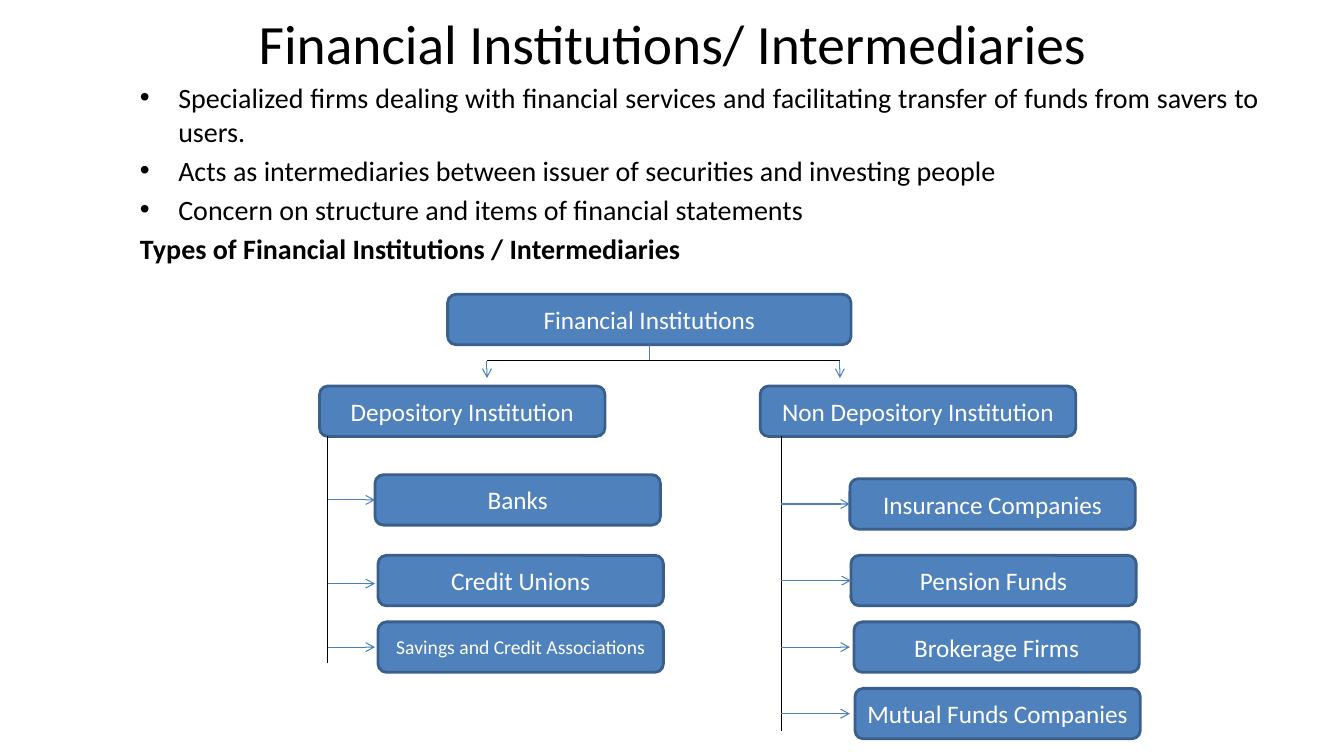
from dataclasses import dataclass

from lxml.etree import SubElement
from pptx import Presentation
from pptx.dml.color import RGBColor as Rgb
from pptx.enum.shapes import MSO_CONNECTOR as Link, MSO_SHAPE as Shape
from pptx.enum.text import MSO_ANCHOR as Anchor, MSO_AUTO_SIZE as Fit, PP_ALIGN as Align
from pptx.oxml.ns import qn
from pptx.util import Inches, Pt


@dataclass(frozen=True)
class Theme:
    """Colours, font and type sizes."""
    font: str = "Calibri"
    ink: str = "000000"
    fill: str = "4F81BD"
    edge: str = "3A5F8C"
    arrow: str = "4B7EBC"
    light: str = "FFFFFF"
    head: float = 39.6
    body: float = 20
    label: float = 18
    small: float = 14


THEME = Theme()
HIGH = 0.5
WIDE = 2.83
TOUCH = 0.02
LONG = 30
FACTS = [
    "Specialized firms dealing with financial services and facilitating transfer of funds from savers to users.",
    "Acts as intermediaries between issuer of securities and investing people",
    "Concern on structure and items of financial statements",
]
TYPES = "Types of Financial Institutions / Intermediaries"
BANKS = [
    ("Banks", 3.72, 4.71, 4.96),
    ("Credit Unions", 3.75, 5.51, 5.79),
    ("Savings and Credit Associations", 3.75, 6.17, 6.42),
]
FUNDS = [
    ("Insurance Companies", 8.43, 4.75, 5),
    ("Pension Funds", 8.44, 5.51, 5.75),
    ("Brokerage Firms", 8.47, 6.17, 6.42),
    ("Mutual Funds Companies", 8.48, 6.83, 7.08),
]


def style(para, size, color, align, bold=False):
    """Set the font and alignment of a paragraph."""
    para.alignment = align
    font = para.font
    font.name, font.size, font.bold = THEME.font, Pt(size), bold
    font.color.rgb = Rgb.from_string(color)


def add_title(slide, text):
    """Fill and place the title."""
    title = slide.shapes.title
    title.left, title.top = Inches(2.17), Inches(0.08)
    title.width, title.height = Inches(9), Inches(0.67)
    frame = title.text_frame
    frame.text = text
    frame.auto_size = Fit.NONE
    frame.vertical_anchor = Anchor.MIDDLE
    style(frame.paragraphs[0], THEME.head, THEME.ink, Align.CENTER)


def add_bullet(para):
    """Give a paragraph a bullet with a hanging indent."""
    props = para._p.get_or_add_pPr()
    props.set("marL", str(Inches(0.38)))
    props.set("indent", str(-Inches(0.38)))
    SubElement(props, qn("a:buFont"), typeface="Arial")
    SubElement(props, qn("a:buChar"), char="•")


def add_body(slide):
    """Add the bulleted facts and the heading of the chart."""
    box = slide.shapes.add_textbox(Inches(1.29), Inches(0.75), Inches(11.3), Inches(2.1))
    frame = box.text_frame
    frame.word_wrap = True
    for i, text in enumerate(FACTS + [TYPES]):
        para = frame.add_paragraph() if i else frame.paragraphs[0]
        para.text = text
        para.space_before = Pt(THEME.body * 0.2)
        style(para, THEME.body, THEME.ink, Align.JUSTIFY, text == TYPES)
        if text != TYPES:
            add_bullet(para)


def add_box(slide, text, left, top, width=WIDE):
    """Add a rounded box with a centred label, smaller if it is long."""
    box = slide.shapes.add_shape(
        Shape.ROUNDED_RECTANGLE, Inches(left), Inches(top), Inches(width), Inches(HIGH))
    box.shadow.inherit = False
    box.fill.solid()
    box.fill.fore_color.rgb = Rgb.from_string(THEME.fill)
    box.line.color.rgb = Rgb.from_string(THEME.edge)
    box.line.width = Pt(2)
    frame = box.text_frame
    frame.word_wrap = True
    frame.vertical_anchor = Anchor.MIDDLE
    frame.text = text
    size = THEME.small if len(text) > LONG else THEME.label
    style(frame.paragraphs[0], size, THEME.light, Align.CENTER)
    return box


def add_line(slide, start, end, color=THEME.ink, arrow=False):
    """Add a thin straight line, with an arrowhead if asked."""
    line = slide.shapes.add_connector(Link.STRAIGHT, *map(Inches, start + end))
    line.line.color.rgb = Rgb.from_string(color)
    line.line.width = Pt(0.75)
    if arrow:
        SubElement(line.line._get_or_add_ln(), qn("a:tailEnd"), type="arrow")
    SubElement(line._element.spPr, qn("a:effectLst"))
    return line


def add_branch(slide, trunk, foot, tip, items):
    """Add a trunk with an arrow and a box for each item."""
    add_line(slide, (trunk, 4.33), (trunk, foot))
    for text, left, top, level in items:
        box = add_box(slide, text, left, top)
        joined = left - tip < TOUCH
        level = top + HIGH / 2 if joined else level
        line = add_line(slide, (trunk, level), (tip, level), THEME.arrow, True)
        if joined:
            line.end_connect(box, 1)


def add_tree(slide):
    """Add the chart of institutions."""
    root = add_box(slide, "Financial Institutions", 4.44, 2.92, 4)
    add_box(slide, "Depository Institution", 3.17, 3.83)
    add_box(slide, "Non Depository Institution", 7.54, 3.83, 3.13)
    stem = add_line(slide, (6.44, 3.42), (6.44, 3.58), THEME.arrow)
    stem.begin_connect(root, 2)
    add_line(slide, (4.83, 3.58), (8.33, 3.58))
    for x in (4.83, 8.33):
        add_line(slide, (x, 3.58), (x, 3.75), THEME.arrow, True)
    add_branch(slide, 3.25, 6.58, 3.72, BANKS)
    add_branch(slide, 7.75, 7.25, 8.43, FUNDS)


def main():
    """Build and save the slide."""
    deck = Presentation()
    deck.slide_width, deck.slide_height = Inches(13.33), Inches(7.5)
    slide = deck.slides.add_slide(deck.slide_layouts.get_by_name("Title Only"))
    add_title(slide, "Financial Institutions/ Intermediaries")
    add_body(slide)
    add_tree(slide)
    deck.save("out.pptx")


if __name__ == "__main__":
    main()
